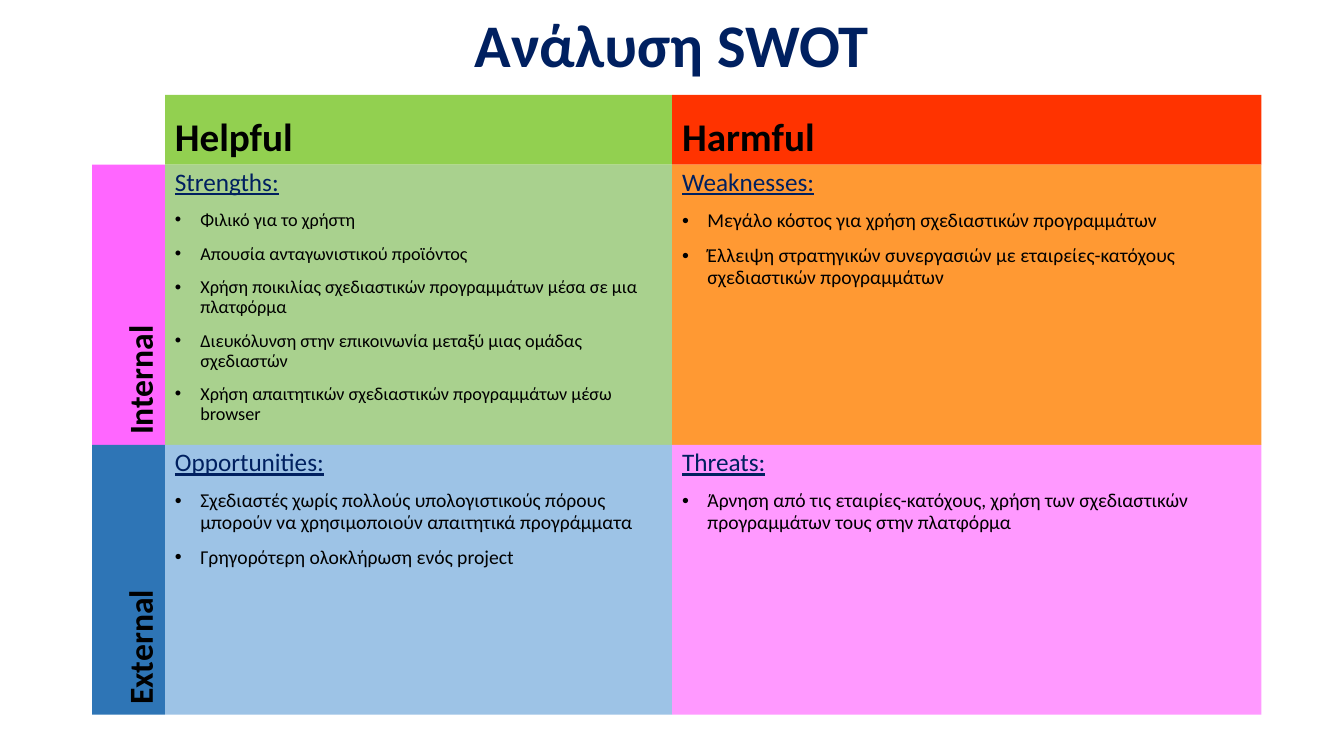
"""Build a SWOT analysis slide with a colour-coded matrix."""
import pptx
import pptx.util
import pptx.dml.color
import pptx.enum.shapes
import pptx.enum.text
import lxml.etree

Cm, Pt = pptx.util.Cm, pptx.util.Pt
RGBColor = pptx.dml.color.RGBColor
Anchor = pptx.enum.text.MSO_ANCHOR

NAVY = RGBColor(0x00, 0x20, 0x60)
BLACK = RGBColor(0x00, 0x00, 0x00)
GREEN = RGBColor(0x92, 0xD0, 0x50)
RED = RGBColor(0xFF, 0x33, 0x00)
PINK = RGBColor(0xFF, 0x66, 0xFF)
BLUE = RGBColor(0x2E, 0x75, 0xB6)
PALE_GREEN = RGBColor(0xA9, 0xD1, 0x8E)
ORANGE = RGBColor(0xFF, 0x99, 0x33)
PALE_BLUE = RGBColor(0x9D, 0xC3, 0xE6)
PALE_PINK = RGBColor(0xFF, 0x99, 0xFF)

FONT = "Calibri"
COLUMN_EDGES = (0, 1.84, 14.62, 29.47)
ROW_EDGES = (0, 1.76, 8.82, 15.62)

COLUMN_HEADS = (("Helpful", GREEN), ("Harmful", RED))
ROW_HEADS = (("Internal", PINK), ("External", BLUE))
QUADRANTS = (
    (
        ("Strengths:", PALE_GREEN, 13, (
            "Φιλικό για το χρήστη",
            "Απουσία ανταγωνιστικού προϊόντος",
            "Χρήση ποικιλίας σχεδιαστικών προγραμμάτων μέσα σε μια πλατφόρμα",
            "Διευκόλυνση στην επικοινωνία μεταξύ μιας ομάδας σχεδιαστών",
            "Χρήση απαιτητικών σχεδιαστικών προγραμμάτων μέσω browser",
        )),
        ("Weaknesses:", ORANGE, 14, (
            "Μεγάλο κόστος για χρήση σχεδιαστικών προγραμμάτων",
            "Έλλειψη στρατηγικών συνεργασιών με εταιρείες-κατόχους σχεδιαστικών προγραμμάτων",
        )),
    ),
    (
        ("Opportunities:", PALE_BLUE, 14, (
            "Σχεδιαστές χωρίς πολλούς υπολογιστικούς πόρους "
            "μπορούν να χρησιμοποιούν απαιτητικά προγράμματα",
            "Γρηγορότερη ολοκλήρωση ενός project",
        )),
        ("Threats:", PALE_PINK, 14, (
            "Άρνηση από τις εταιρίες-κατόχους, χρήση των σχεδιαστικών "
            "προγραμμάτων τους στην πλατφόρμα",
        )),
    ),
)


def style_para(para, size, color, bold=False, underline=False):
    """Format one paragraph and its text."""
    para.line_spacing = 0.9
    para.space_before = Pt(10)
    para.alignment = pptx.enum.text.PP_ALIGN.LEFT
    for span in para.runs:
        span.font.name = FONT
        span.font.size = Pt(size)
        span.font.color.rgb = color
        span.font.bold = bold
        span.font.underline = underline


def add_bullet(para):
    """Give a paragraph a round bullet with a hanging indent."""
    props = para._p.get_or_add_pPr()
    indent = Cm(0.64)
    props.set("marL", str(indent))
    props.set("indent", str(-indent))
    tag = pptx.oxml.ns.qn
    lxml.etree.SubElement(props, tag("a:buFont")).set("typeface", "Arial")
    lxml.etree.SubElement(props, tag("a:buChar")).set("char", "•")


def add_panel(page, box, fill, text, anchor):
    """Add a filled rectangle holding one paragraph per line of text."""
    panel = page.shapes.add_shape(
        pptx.enum.shapes.MSO_SHAPE.RECTANGLE, *(Cm(length) for length in box))
    panel.shadow.inherit = False
    panel.fill.solid()
    panel.fill.fore_color.rgb = fill
    panel.line.fill.background()
    frame = panel.text_frame
    frame.word_wrap = True
    frame.vertical_anchor = anchor
    frame.text = text
    return panel


def add_title(page, box):
    """Add the centred slide title."""
    title = page.shapes.add_textbox(*(Cm(length) for length in box))
    frame = title.text_frame
    frame.word_wrap = True
    frame.vertical_anchor = Anchor.MIDDLE
    frame.text = "Ανάλυση SWOT"
    para = frame.paragraphs[0]
    style_para(para, 43.2, NAVY, bold=True)
    para.space_before = Pt(0)
    para.alignment = pptx.enum.text.PP_ALIGN.CENTER


def add_column_head(page, box, text, fill):
    """Add a heading above a column."""
    head = add_panel(page, box, fill, text, Anchor.BOTTOM)
    style_para(head.text_frame.paragraphs[0], 28, BLACK, bold=True)


def add_row_head(page, box, text, fill):
    """Add a heading beside a row, turned to read upwards."""
    left, top, width, height = box
    shift = (height - width) / 2
    turned_box = (left - shift, top + shift, height, width)
    head = add_panel(page, turned_box, fill, text, Anchor.BOTTOM)
    head.rotation = 270
    style_para(head.text_frame.paragraphs[0], 24, BLACK, bold=True)


def add_quadrant(page, box, heading, fill, size, points):
    """Add a quadrant with an underlined heading and bulleted points."""
    panel = add_panel(page, box, fill, "\n".join((heading, *points)), Anchor.TOP)
    first, *others = panel.text_frame.paragraphs
    style_para(first, 18, NAVY, underline=True)
    for para in others:
        style_para(para, size, BLACK)
        add_bullet(para)


def add_matrix(page, left, top):
    """Place the headings and quadrants on a grid from the given corner."""
    def cell(row, column):
        """Return the box of one grid cell."""
        x, right = COLUMN_EDGES[column:column + 2]
        y, bottom = ROW_EDGES[row:row + 2]
        return left + x, top + y, right - x, bottom - y

    for column, head in enumerate(COLUMN_HEADS, 1):
        add_column_head(page, cell(0, column), *head)
    for row, (head, quadrants) in enumerate(zip(ROW_HEADS, QUADRANTS), 1):
        add_row_head(page, cell(row, 0), *head)
        for column, quadrant in enumerate(quadrants, 1):
            add_quadrant(page, cell(row, column), *quadrant)


def main():
    """Build and save the deck."""
    deck = pptx.Presentation()
    deck.slide_width, deck.slide_height = Cm(33.87), Cm(19.05)
    page = deck.slides.add_slide(deck.slide_layouts[6])
    add_title(page, (2.33, 0.18, 29.21, 2.08))
    add_matrix(page, 2.32, 2.39)
    deck.save("out.pptx")


main()
